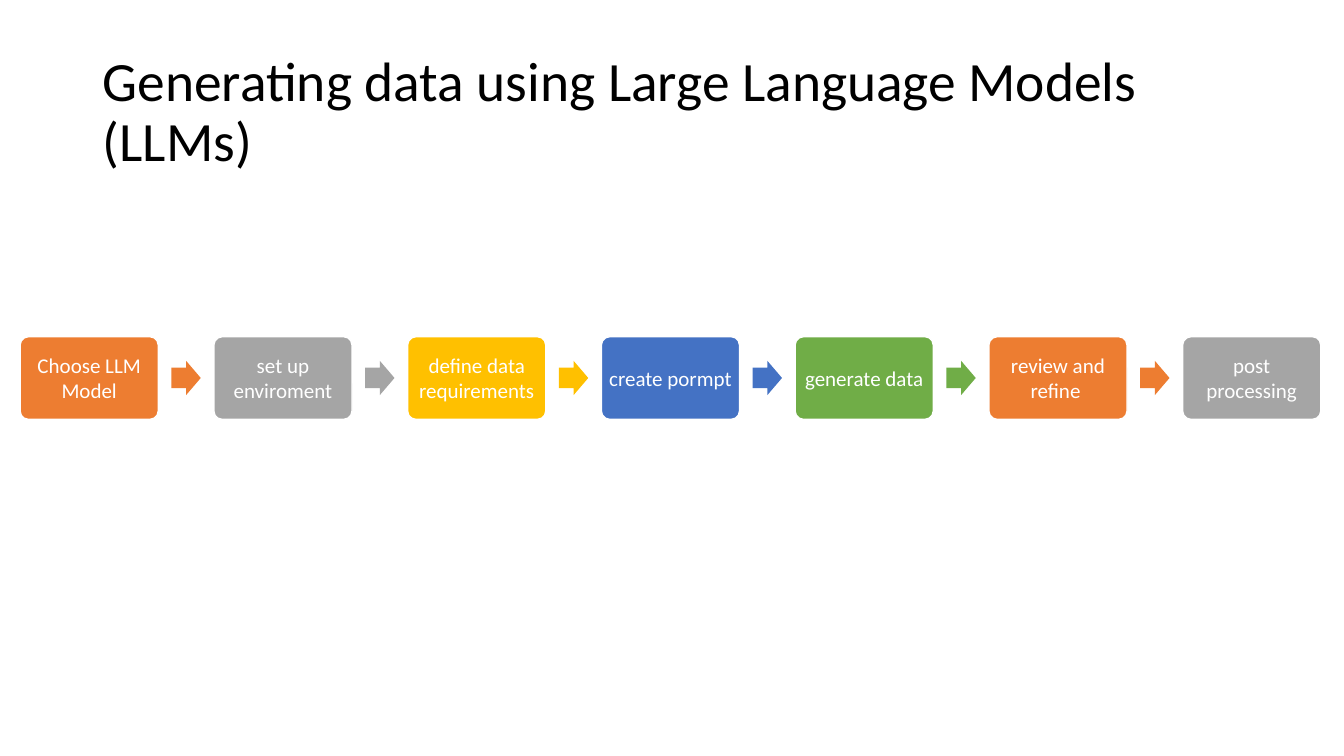
from pptx import Presentation
from pptx.dml.color import RGBColor
from pptx.enum import shapes, text
from pptx.util import Inches, Pt

TITLE = "Generating data using Large Language Models (LLMs)"
STEPS = [
    "Choose LLM Model",
    "set up enviroment",
    "define data requirements",
    "create pormpt",
    "generate data",
    "review and refine ",
    "post processing",
]
COLORS = ["ED7D31", "A5A5A5", "FFC000", "4472C4", "70AD47"]

FIRST, LAST = 0.2, 11.73
TOP, WIDTH, HEIGHT = 3.34, 1.37, 0.82
ARROW_W, ARROW_H = 0.29, 0.34
PITCH = (LAST - FIRST) / (len(STEPS) - 1)


def rgb(code):
    return RGBColor.from_string(code)


def write(frame, words, size, color, inset):
    """Fill a text frame with one paragraph, centred vertically."""
    frame.word_wrap = True
    frame.vertical_anchor = text.MSO_ANCHOR.MIDDLE
    if inset is not None:
        frame.margin_left = frame.margin_right = Inches(inset)
        frame.margin_top = frame.margin_bottom = Inches(inset)
    para = frame.paragraphs[0]
    para.text = words
    para.line_spacing = 0.9
    para.font.name = "Calibri"
    para.font.size = Pt(size)
    para.font.color.rgb = rgb(color)
    return para


def block(slide, kind, left, top, width, height, color, adjust):
    shape = slide.shapes.add_shape(
        kind, Inches(left), Inches(top), Inches(width), Inches(height))
    for i, value in enumerate(adjust):
        shape.adjustments[i] = value
    shape.shadow.inherit = False
    shape.fill.solid()
    shape.fill.fore_color.rgb = rgb(color)
    shape.line.fill.background()
    return shape


def main():
    deck = Presentation()
    deck.slide_width, deck.slide_height = Inches(13.33), Inches(7.5)
    slide = deck.slides.add_slide(deck.slide_layouts[6])

    title = slide.shapes.add_textbox(
        Inches(0.92), Inches(0.4), Inches(11.5), Inches(1.45))
    write(title.text_frame, TITLE, 39.6, "000000", None)

    gap = PITCH - WIDTH
    for i, step in enumerate(STEPS):
        left = FIRST + i * PITCH
        color = COLORS[i % len(COLORS)]
        box = block(slide, shapes.MSO_SHAPE.ROUNDED_RECTANGLE,
                    left, TOP, WIDTH, HEIGHT, color, [0.1])
        box.line.color.rgb = rgb("FFFFFF")
        box.line.width = Pt(1)
        para = write(box.text_frame, step, 15, "FFFFFF", 0.03)
        para.alignment = text.PP_ALIGN.CENTER
        para.line_spacing = 1.0
        if i < len(STEPS) - 1:
            block(slide, shapes.MSO_SHAPE.RIGHT_ARROW,
                  left + WIDTH + (gap - ARROW_W) / 2,
                  TOP + (HEIGHT - ARROW_H) / 2,
                  ARROW_W, ARROW_H, color, [0.6, 0.5])

    deck.save("out.pptx")


if __name__ == "__main__":
    main()
